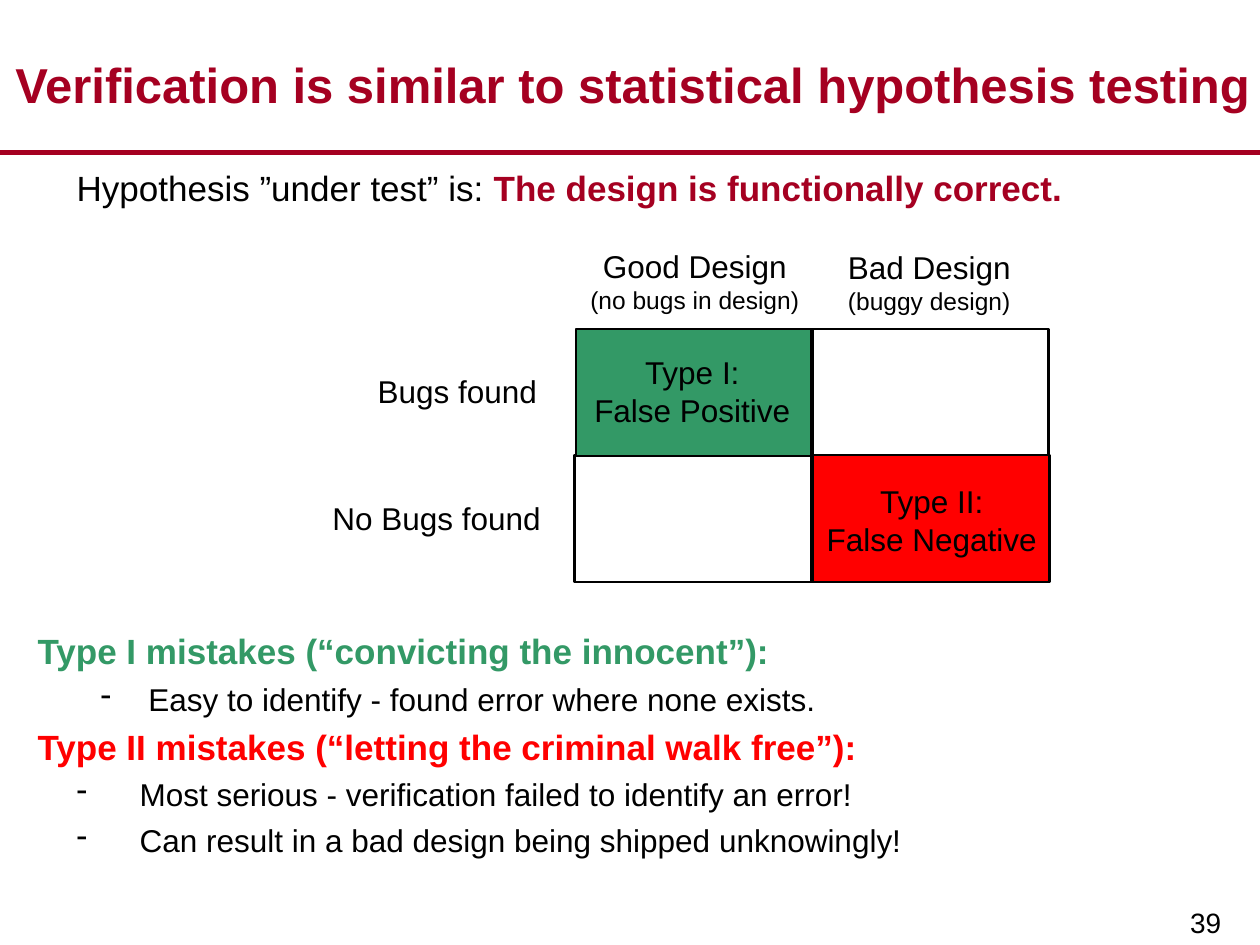
from dataclasses import dataclass

from lxml import etree
from pptx import Presentation
from pptx.dml.color import RGBColor
from pptx.enum.shapes import MSO_CONNECTOR, MSO_SHAPE
from pptx.enum.text import MSO_ANCHOR, PP_ALIGN
from pptx.oxml.ns import qn
from pptx.util import Inches, Pt

LEFT, CENTER, RIGHT = PP_ALIGN.LEFT, PP_ALIGN.CENTER, PP_ALIGN.RIGHT
TOP, MIDDLE, BOTTOM = MSO_ANCHOR.TOP, MSO_ANCHOR.MIDDLE, MSO_ANCHOR.BOTTOM
RECT, STRAIGHT = MSO_SHAPE.RECTANGLE, MSO_CONNECTOR.STRAIGHT

# The slide is a grid of 100 columns by 75 rows
SLIDE_W, SLIDE_H = Inches(10), Inches(7.5)
COLS, ROWS = 100, 75


@dataclass(frozen=True)
class Theme:
    font: str = "Arial"
    accent: str = "A50021"
    ink: str = "000000"
    type_one: str = "339966"
    type_two: str = "FF0000"
    title: int = 28
    lead: int = 20
    body: int = 18
    number: int = 16
    note: int = 14
    rule: float = 3
    border: float = 1.5
    gap: float = 4.5


T = Theme()


def col(n):
    return round(SLIDE_W * n / COLS)


def row(n):
    return round(SLIDE_H * n / ROWS)


def place(x, y, w, h):
    return col(x), row(y), col(w), row(h)


def run(text, size=T.body, color=T.ink, bold=False):
    return text, size, color, bold


def add_runs(p, runs):
    for text, size, color, bold in runs:
        r = p.add_run()
        r.text = text
        r.font.name = T.font
        r.font.size = Pt(size)
        r.font.bold = bold
        r.font.color.rgb = RGBColor.from_string(color)


def set_indent(p, margin, hanging, bullet=None):
    pPr = p._p.get_or_add_pPr()
    pPr.set("marL", str(col(margin)))
    pPr.set("indent", str(-col(hanging)))
    if bullet:
        etree.SubElement(pPr, qn("a:buChar")).set("char", bullet)
    else:
        etree.SubElement(pPr, qn("a:buNone"))


def add_text(s, box, paragraphs, align=LEFT, anchor=TOP, wrap=True, indents=None):
    """Each paragraph is a list of runs; each indent is (margin, hanging, bullet)."""
    tf = s.shapes.add_textbox(*place(*box)).text_frame
    tf.word_wrap = wrap
    tf.vertical_anchor = anchor
    for i, runs in enumerate(paragraphs):
        p = tf.add_paragraph() if i else tf.paragraphs[0]
        p.alignment = align
        if indents:
            if i:
                p.space_before = Pt(T.gap)
            set_indent(p, *indents[i])
        add_runs(p, runs)


def add_cell(s, x, y, fill=None):
    sp = s.shapes.add_shape(RECT, *place(x, y, 18.8, 10.1))
    sp.shadow.inherit = False
    if fill:
        sp.fill.solid()
        sp.fill.fore_color.rgb = RGBColor.from_string(fill)
    else:
        sp.fill.background()
    sp.line.color.rgb = RGBColor.from_string(T.ink)
    sp.line.width = Pt(T.border)


def add_rule(s, y):
    line = s.shapes.add_connector(STRAIGHT, 0, row(y), SLIDE_W, row(y))
    line.line.color.rgb = RGBColor.from_string(T.accent)
    line.line.width = Pt(T.rule)
    etree.SubElement(line._element.spPr, qn("a:effectLst"))


def add_matrix(s):
    # Cells: the filled ones are the two kinds of mistake
    left, right, upper, lower = 45.6, 64.4, 26.1, 36.1
    add_cell(s, left, lower)
    add_cell(s, left + 0.1, upper, T.type_one)
    add_cell(s, right, upper)
    add_cell(s, right + 0.1, lower, T.type_two)

    # Row labels, column labels and cell texts
    labels = [
        ((28.9, 29, 14.8, 4), [run("Bugs found")]),
        ((25.3, 39.1, 18.7, 4), [run("No Bugs found")]),
        ((45.8, 19.1, 18.7, 6.4),
         [run("Good Design"), run("(no bugs in design)", T.note)]),
        ((66.2, 19.2, 15.1, 6.4),
         [run("Bad Design"), run("(buggy design)", T.note)]),
        ((46.1, 27.5, 17.7, 7.1), [run("Type I:"), run("False Positive")]),
        ((64.5, 37.8, 18.9, 7.1), [run("Type II:"), run("False Negative")]),
    ]
    for box, lines in labels:
        add_text(s, box, [[r] for r in lines], CENTER, wrap=False)


def add_mistakes(s):
    heading, near, far = (3.8, 3.8), (8.8, 3.8, "-"), (8.1, 5, "-")
    items = [
        (heading, run("Type I mistakes (“convicting the innocent”):",
                      T.lead, T.type_one, True)),
        (near, run("Easy to identify - found error where none exists.")),
        (heading, run("Type II mistakes (“letting the criminal walk free”):",
                      T.lead, T.type_two, True)),
        (far, run("Most serious - verification failed to identify an error!")),
        (far, run("Can result in a bad design being shipped unknowingly!")),
    ]
    add_text(s, (2, 49.5, 95.8, 19.8), [[r] for _, r in items],
             indents=[indent for indent, _ in items])


def main():
    prs = Presentation()
    prs.slide_width, prs.slide_height = SLIDE_W, SLIDE_H
    s = prs.slides.add_slide(prs.slide_layouts[6])

    # Header and page number
    add_rule(s, 12.1)
    add_text(s, (78, 69.3, 19.9, 5.7), [[run("39", T.number)]], RIGHT, BOTTOM)
    add_text(s, (-1.9, 2.4, 104.2, 8.6),
             [[run("Verification is similar to statistical hypothesis testing",
                   T.title, T.accent, True)]], CENTER, MIDDLE)

    # Hypothesis
    add_text(s, (5.1, 12.7, 90, 5.4),
             [[run("Hypothesis ”under test” is: ", T.lead),
               run("The design is functionally correct.", T.lead, T.accent, True)]],
             indents=[(3.8, 3.8)])

    add_matrix(s)
    add_mistakes(s)
    prs.save("out.pptx")


if __name__ == "__main__":
    main()
